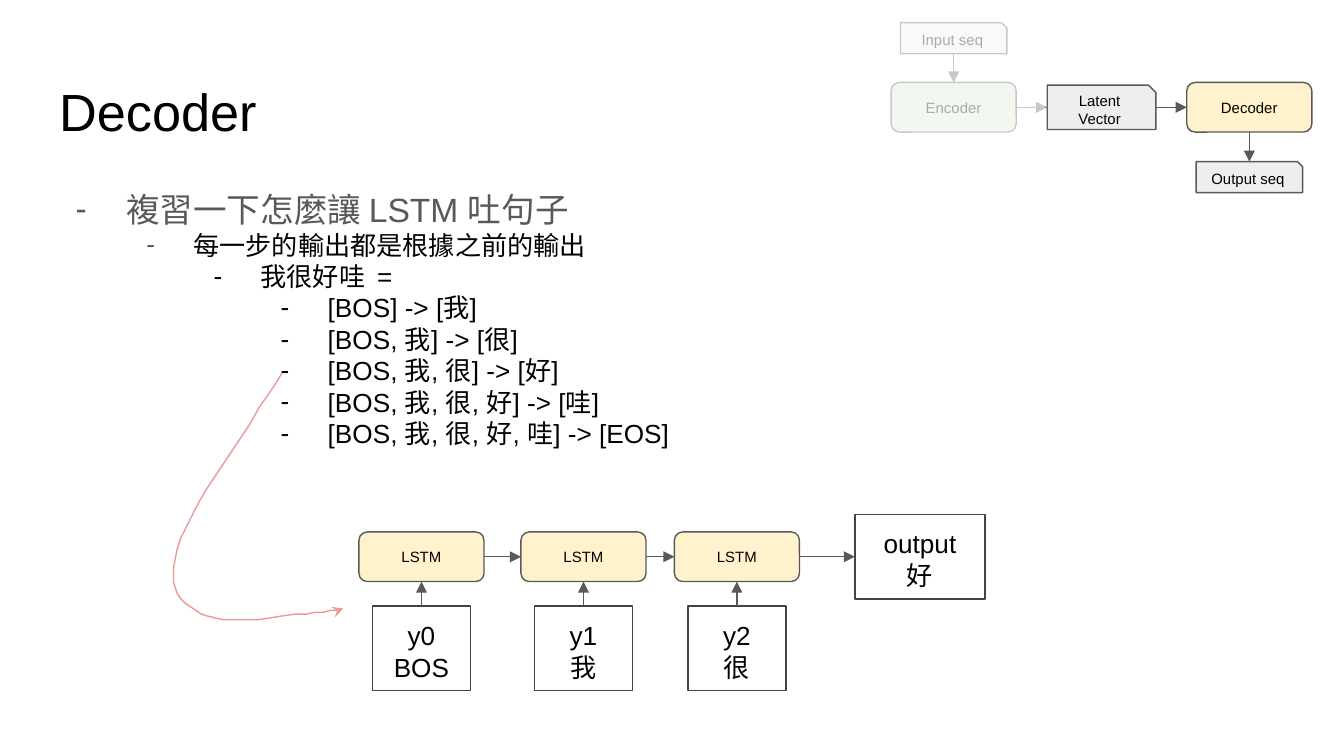
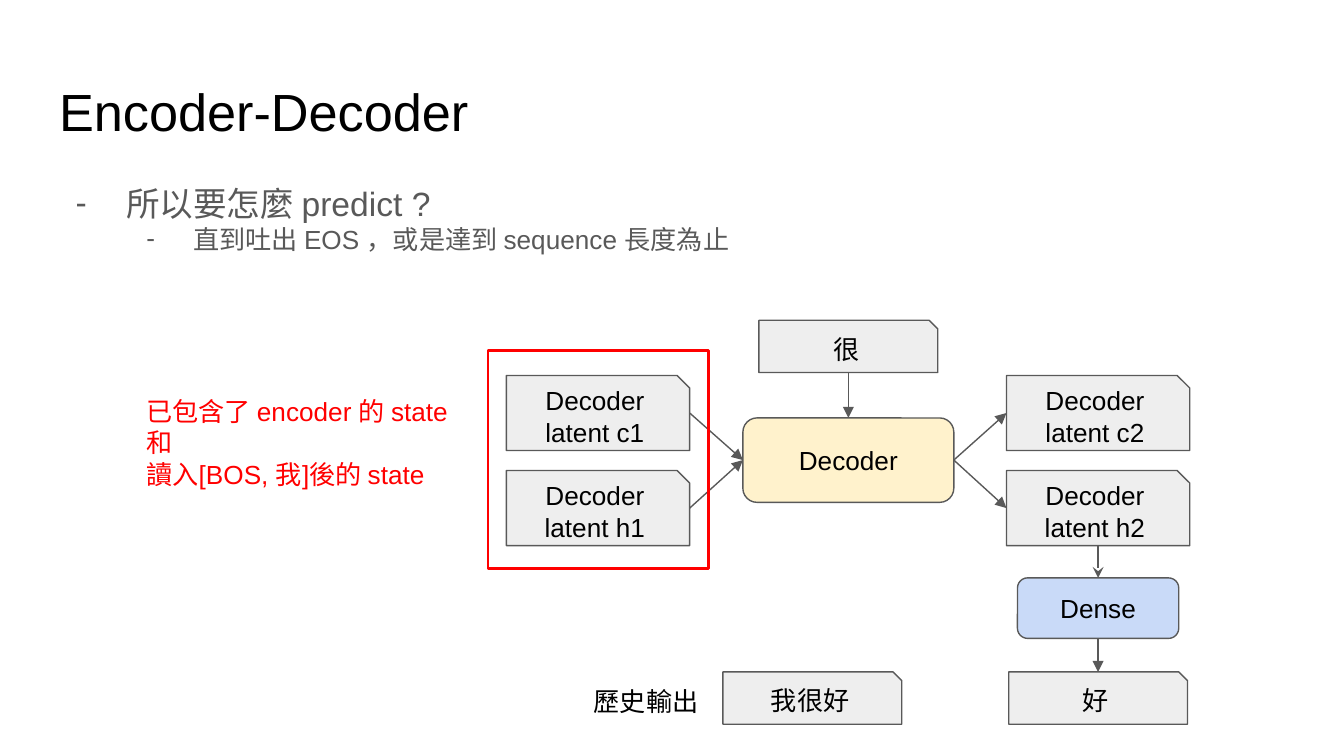
from pptx import Presentation
from pptx.dml.color import RGBColor
from pptx.enum.shapes import MSO_CONNECTOR, MSO_SHAPE
from pptx.enum.text import MSO_ANCHOR, PP_ALIGN
from pptx.oxml.ns import qn
from pptx.util import Pt
from lxml.etree import SubElement

rgb = RGBColor.from_string
GREY, BLACK, RED, WHITE = "595959", "000000", "FF0000", "FFFFFF"
CREAM, GREEN, BLUE, PALE = "FFF2CC", "D9EAD3", "C9DAF8", "EEEEEE"
ROUND, SNIP, RECT = MSO_SHAPE.ROUNDED_RECTANGLE, MSO_SHAPE.SNIP_1_RECTANGLE, MSO_SHAPE.RECTANGLE
TOP, LEFT, BASE, RIGHT = range(4)
FRAME = {"word_wrap": True, "margin_left": Pt(7.2), "margin_right": Pt(7.2),
         "margin_top": Pt(7.2), "margin_bottom": Pt(7.2)}


def box(page, kind, spot, text="", size=14, fill=None, edge=None, ink=BLACK, width=0.75):
    area = [Pt(v) for v in spot]
    if kind is None:
        shape = page.shapes.add_textbox(*area)
    else:
        shape = page.shapes.add_shape(kind, *area)
        shape.shadow.inherit = False
    if fill:
        shape.fill.solid()
        shape.fill.fore_color.rgb = rgb(fill)
    else:
        shape.fill.background()
    if edge:
        shape.line.color.rgb = rgb(edge)
        shape.line.width = Pt(width)
    else:
        shape.line.fill.background()
    frame = shape.text_frame
    for key, value in FRAME.items():
        setattr(frame, key, value)
    frame.vertical_anchor = MSO_ANCHOR.MIDDLE if kind in (ROUND, SNIP) else MSO_ANCHOR.TOP
    if text:
        frame.text = text
    for para in frame.paragraphs:
        para.alignment = PP_ALIGN.LEFT if kind is None else PP_ALIGN.CENTER
        for run in para.runs:
            for key, value in {"name": "Arial", "size": Pt(size)}.items():
                setattr(run.font, key, value)
            run.font.color.rgb = rgb(ink)
    return shape


def link(page, start, out, end, into, head="triangle"):
    wire = page.shapes.add_connector(MSO_CONNECTOR.STRAIGHT, 0, 0, 0, 0)
    wire.begin_connect(start, out)
    wire.end_connect(end, into)
    wire.line.color.rgb = rgb(GREY)
    wire.line.width = Pt(0.75)
    SubElement(wire.line._get_or_add_ln(), qn("a:tailEnd"), type=head)
    SubElement(wire._element.spPr, qn("a:effectLst"))


deck = Presentation()
deck.slide_width, deck.slide_height = Pt(720), Pt(405)

said = "我很好哇"
steps = []
for i, word in enumerate([*said, "EOS"]):
    past = ", ".join(["BOS", *said[:i]])
    steps.append((3, f"[{past}] -> [{word}]", BLACK))

plan = [
    ("Decoder", 1.15, [
        (0, "複習一下怎麼讓 LSTM 吐句子", GREY),
        (1, "每一步的輸出都是根據之前的輸出", BLACK),
        (2, said + "  =", BLACK),
        *steps]),
    ("Encoder-Decoder", 1.0, [
        (0, "所以要怎麼 predict ?", GREY),
        (1, "直到吐出 EOS ，或是達到 sequence 長度為止", GREY)]),
]

pages = []
for name, space, lines in plan:
    page = deck.slides.add_slide(deck.slide_layouts[5])
    pages.append(page)
    title = page.shapes.title
    spot = {"left": 24.5, "top": 35, "width": 671, "height": 45}
    for key, value in spot.items():
        setattr(title, key, Pt(value))
    frame = title.text_frame
    frame.text = name
    for key, value in {**FRAME, "vertical_anchor": MSO_ANCHOR.TOP}.items():
        setattr(frame, key, value)
    para = frame.paragraphs[0]
    para.alignment = PP_ALIGN.LEFT
    for key, value in {"name": "Arial", "size": Pt(28)}.items():
        setattr(para.font, key, value)
    para.font.color.rgb = rgb(BLACK)

    body = box(page, None, (24.5, 90.7, 671, 68.4), "\n".join(row[1] for row in lines))
    for para, (level, text, ink) in zip(body.text_frame.paragraphs, lines):
        para.level = level
        para.line_spacing = 1.0 if level else space
        font = para.runs[0].font
        font.size = Pt(14 if level else 18)
        font.color.rgb = rgb(ink)
        props = para._p.get_or_add_pPr()
        props.set("marL", str(Pt(36 * (level + 1))))
        props.set("indent", str(-Pt(25.2 if level else 27)))
        tint = SubElement(props, qn("a:buClr"))
        SubElement(tint, qn("a:srgbClr"), val=GREY if level < 2 else BLACK)
        SubElement(props, qn("a:buFont"), typeface="Arial")
        SubElement(props, qn("a:buChar"), char="-")

page = pages[0]
coder = box(page, ROUND, (477.4, 44.2, 67, 26.6), "Encoder", 8, GREEN, GREY)
maker = box(page, ROUND, (635.8, 44.2, 67, 26.6), "Decoder", 8, CREAM, GREY)
source = box(page, SNIP, (482.4, 12.2, 57, 16.6), "Input seq", 8, PALE, GREY)
latent = box(page, SNIP, (561, 45.6, 58.2, 23.8), "Latent Vector", 8, PALE, GREY)
result = box(page, SNIP, (640.8, 86.6, 57, 16.6), "Output seq", 8, PALE, GREY)
link(page, source, BASE, coder, TOP)
link(page, coder, RIGHT, latent, LEFT)
link(page, latent, RIGHT, maker, LEFT)
link(page, maker, BASE, result, TOP)
veil = box(page, RECT, (466.6, 7.9, 93.6, 68.4), fill=WHITE)
SubElement(veil._element.spPr.find(".//" + qn("a:srgbClr")), qn("a:alpha"), val="67000")

cells = []
for i, (x, word) in enumerate(zip((192.3, 279.1, 361.3), ("BOS", *said))):
    cell = box(page, ROUND, (x, 285, 67, 26.6), "LSTM", 8, CREAM, GREY)
    token = box(page, RECT, (x + 7.2, 324.7, 52.6, 45.4), f"y{i}\n{word}", edge="434343")
    link(page, token, TOP, cell, BASE)
    cells.append(cell)
cells.append(box(page, RECT, (458, 275.6, 69.8, 45.4), "output\n好", edge="434343"))
for start, end in zip(cells, cells[1:]):
    link(page, start, RIGHT, end, LEFT)

here = (151.2, 200.2)
bends = [
    ((141.8, 216), (101.5, 272.2), (95, 293.8)),
    ((88.6, 315.4), (97.2, 324.7), (110.9, 330.5)),
    ((124.6, 335.5), (164.9, 327.6), (177.1, 327.4)),
    ((189.4, 326.9), (183.6, 326.4), (184.3, 326.2)),
]
trail = page.shapes.build_freeform(*here, scale=Pt(1))
for one, two, last in bends:
    dots = []
    for step in range(1, 13):
        t = step / 12
        u = 1 - t
        dots.append(tuple(u**3 * a + 3 * u * u * t * b + 3 * u * t * t * c + t**3 * d
                          for a, b, c, d in zip(here, one, two, last)))
    trail.add_line_segments(dots, close=False)
    here = last
curve = trail.convert_to_shape()
curve.shadow.inherit = False
curve.fill.background()
curve.line.color.rgb = rgb("EA9999")
curve.line.width = Pt(0.75)
SubElement(curve.line._get_or_add_ln(), qn("a:tailEnd"), type="stealth")

page = pages[1]
maker = box(page, ROUND, (398, 223.9, 113, 45.2), "Decoder", 14, CREAM, GREY)
for y, mark in ((201.2, "c"), (252.1, "h")):
    before, after = [
        box(page, SNIP, (x, y, 98.2, 40.2), f"Decoder\nlatent {mark}{i}", 14, PALE, GREY)
        for i, x in ((1, 271.3), (2, 539.2))]
    link(page, before, RIGHT, maker, LEFT)
    link(page, maker, RIGHT, after, LEFT)
word, past, final = [
    box(page, SNIP, (x, y, 95.8, 28), text, 14, PALE, GREY)
    for x, y, text in ((406.6, 171.6, "很"), (387.3, 360, "我很好"), (540.4, 360, "好"))]
dense = box(page, ROUND, (545.1, 309.6, 86.4, 32.4), "Dense", 14, BLUE, GREY)
link(page, word, BASE, maker, TOP)
link(page, after, BASE, dense, TOP, "stealth")
link(page, dense, BASE, final, TOP)
box(page, None, (311, 360, 73.4, 28), "歷史輸出")
box(page, RECT, (261.4, 187.9, 118.1, 116.6), edge=RED, width=1.5)
box(page, None, (71.3, 204.5, 184.3, 59),
    "已包含了 encoder 的 state\n和\n讀入[BOS, 我]後的 state", ink=RED)

deck.save("out.pptx")
